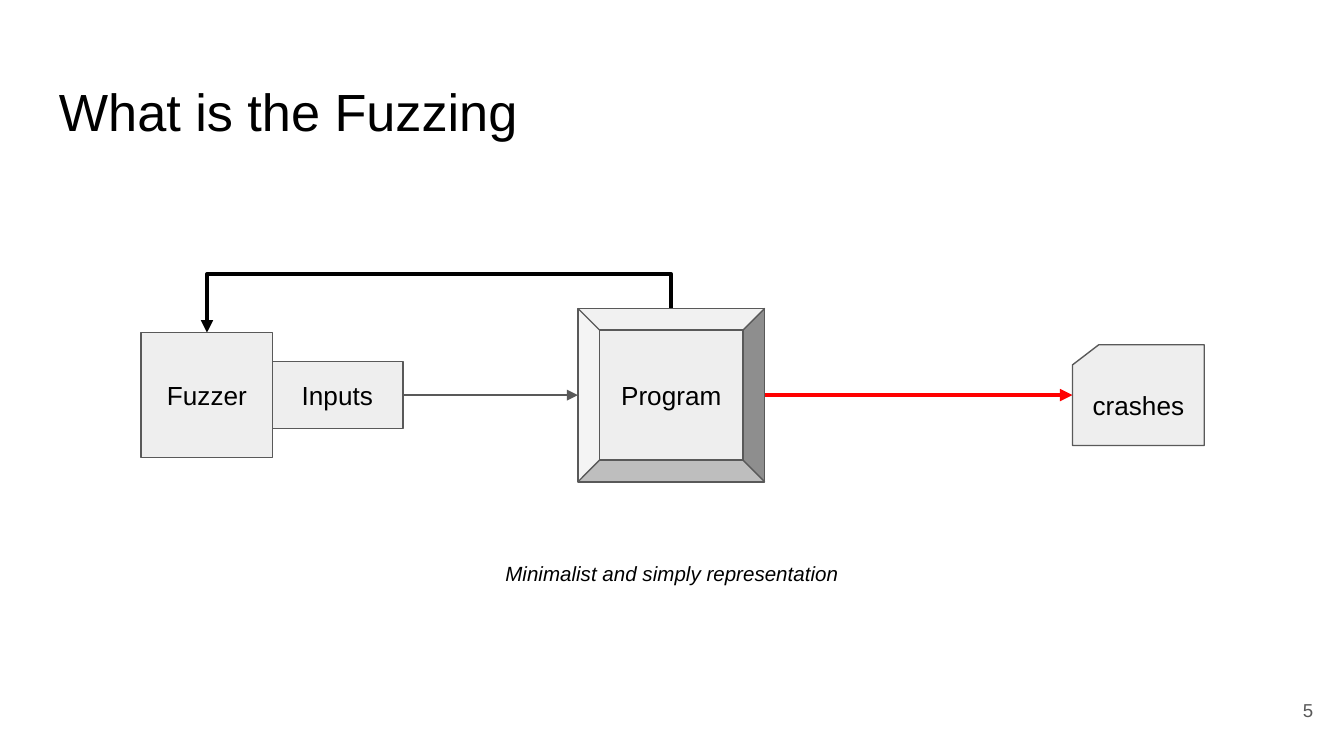
from lxml import etree
from pptx import Presentation
from pptx.dml.color import RGBColor
from pptx.enum.shapes import MSO_CONNECTOR, MSO_SHAPE
from pptx.enum.text import MSO_ANCHOR, PP_ALIGN
from pptx.oxml.ns import qn
from pptx.util import Inches, Pt

LEFT, CENTER, RIGHT = PP_ALIGN.LEFT, PP_ALIGN.CENTER, PP_ALIGN.RIGHT
TOP, MIDDLE = MSO_ANCHOR.TOP, MSO_ANCHOR.MIDDLE
STRAIGHT, ELBOW = MSO_CONNECTOR.STRAIGHT, MSO_CONNECTOR.ELBOW

SLIDE_WIDTH = 10
SLIDE_HEIGHT = SLIDE_WIDTH * 9 / 16
FONT = "Arial"
COLORS = {"text": "000000", "gray": "595959", "box": "EEEEEE", "crash": "FF0000"}

# Content: text, (left, top, width, height), size, color, alignment, anchor, italic
TEXTS = [
    ("What is the Fuzzing", (0.34, 0.49, 9.32, 0.67), 28, "text", LEFT, TOP, False),
    ("5", (9.27, 5.1, 0.6, 0.37), 10, "gray", RIGHT, MIDDLE, False),
    ("Minimalist and simply representation", (3.61, 4.07, 2.78, 0.39), 11, "text",
     CENTER, MIDDLE, True),
]

# Flow boxes, all centred on one axis: preset, left, width, height
AXIS = 2.94
BOXES = {
    "Inputs": (MSO_SHAPE.RECTANGLE, 2.02, 0.98, 0.5),
    "crashes": (MSO_SHAPE.FLOWCHART_CARD, 7.98, 0.98, 0.75),
    "Fuzzer": (MSO_SHAPE.RECTANGLE, 1.05, 0.98, 0.93),
    "Program": (MSO_SHAPE.BEVEL, 4.3, 1.39, 1.29),
}

# Straight arrows: source, target, color, width
ARROWS = [
    ("Inputs", "Program", "gray", 0.75),
    ("Program", "crashes", "crash", 2.25),
]
FEEDBACK_TOP = 2.04


def color(name):
    return RGBColor.from_string(COLORS[name])


def write(shape, text, size, color_name, alignment, anchor, italic=False):
    frame = shape.text_frame
    frame.text = text
    frame.word_wrap = True
    frame.vertical_anchor = anchor
    frame.margin_left = frame.margin_right = Inches(0.1)
    frame.margin_top = frame.margin_bottom = Inches(0.1)
    paragraph = frame.paragraphs[0]
    paragraph.alignment = alignment
    font = paragraph.runs[0].font
    font.name, font.size, font.italic = FONT, Pt(size), italic
    font.color.rgb = color(color_name)


def add_arrow(slide, kind, start, end, color_name, width):
    connector = slide.shapes.add_connector(kind, *map(Inches, start + end))
    connector.line.color.rgb = color(color_name)
    connector.line.width = Pt(width)
    properties = connector.element.spPr
    etree.SubElement(properties.find(qn("a:ln")), qn("a:tailEnd"), type="triangle")
    etree.SubElement(properties, qn("a:effectLst"))
    return connector


def add_feedback(slide):
    """Elbow arrow from the top of Program, up and over, to the top of Fuzzer."""
    ends = []
    for name in ("Program", "Fuzzer"):
        _, left, width, height = BOXES[name]
        ends.append((left + width / 2, AXIS - height / 2))
    (start_x, start_y), (end_x, end_y) = ends
    span, drop = start_x - end_x, end_y - start_y
    middle_x, middle_y = (start_x + end_x) / 2, (start_y + end_y) / 2

    # The frame is upright before its quarter turn
    connector = add_arrow(slide, ELBOW,
                          (middle_x - drop / 2, middle_y - span / 2),
                          (middle_x + drop / 2, middle_y + span / 2), "text", 2.25)
    properties = connector.element.spPr
    properties.find(qn("a:xfrm")).set("rot", str(90 * 60000))
    bend = round((FEEDBACK_TOP - start_y) / drop * 100000)
    guides = properties.find(qn("a:prstGeom")).get_or_add_avLst()
    etree.SubElement(guides, qn("a:gd"), name="adj1", fmla=f"val {bend}")


presentation = Presentation()
presentation.slide_width = Inches(SLIDE_WIDTH)
presentation.slide_height = Inches(SLIDE_HEIGHT)
slide = presentation.slides.add_slide(presentation.slide_layouts[6])

# Title, page number and caption
for text, place, *style in TEXTS:
    write(slide.shapes.add_textbox(*map(Inches, place)), text, *style)

# Arrows
for source, target, color_name, width in ARROWS:
    _, left, box_width, _ = BOXES[source]
    add_arrow(slide, STRAIGHT, (left + box_width, AXIS), (BOXES[target][1], AXIS),
              color_name, width)
add_feedback(slide)

# Flow boxes
for label, (preset, left, width, height) in BOXES.items():
    place = (left, AXIS - height / 2, width, height)
    shape = slide.shapes.add_shape(preset, *map(Inches, place))
    shape.shadow.inherit = False
    shape.fill.solid()
    shape.fill.fore_color.rgb = color("box")
    shape.line.color.rgb = color("gray")
    shape.line.width = Pt(0.75)
    write(shape, label, 14, "text", CENTER, MIDDLE)

presentation.save("out.pptx")
